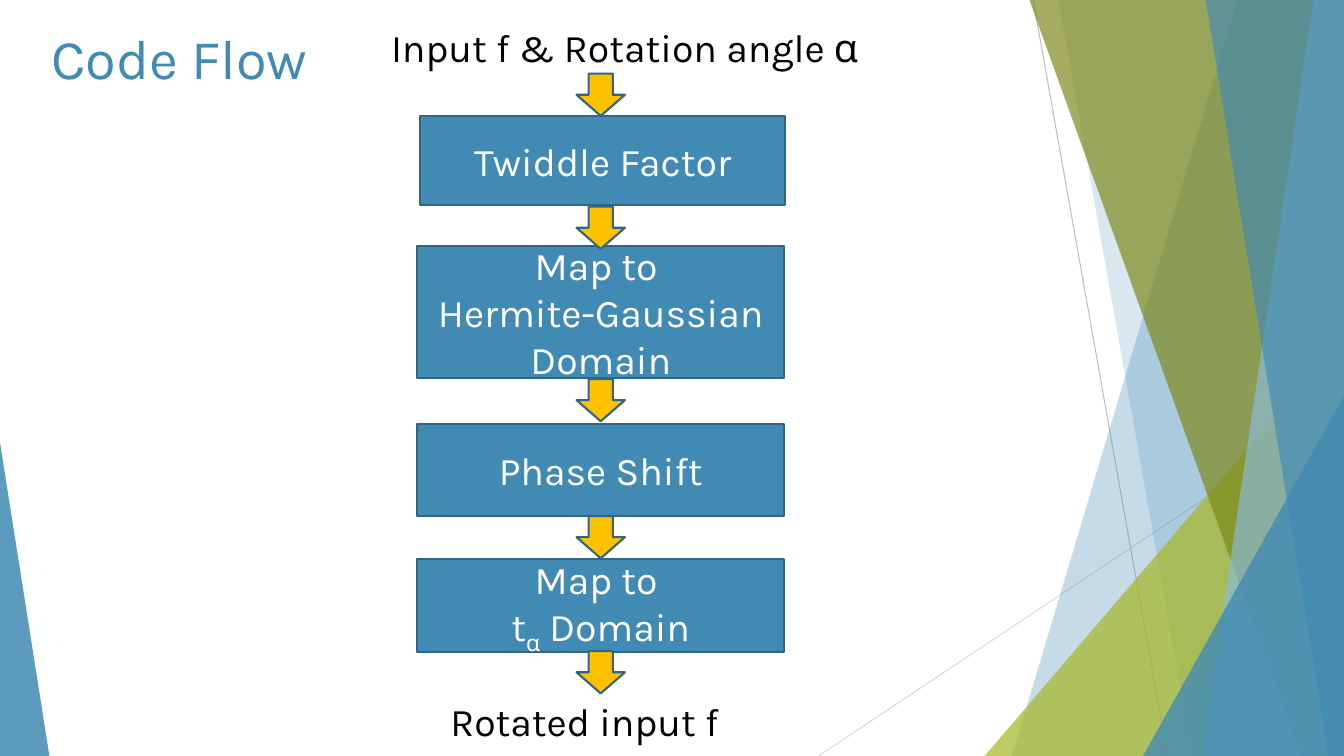
"""Build the Code Flow slide: a vertical flowchart over a faceted backdrop."""
from dataclasses import dataclass
from typing import Any, NamedTuple

from lxml import etree
from pptx import Presentation
from pptx import util as u
from pptx.dml import color as c
from pptx.enum import shapes, text
from pptx.oxml import ns


@dataclass(frozen=True)
class Theme:
    blue: str = "418AB3"
    pale_blue: str = "8ABAD4"
    dark_blue: str = "306684"
    green: str = "A6B727"
    olive: str = "7D891D"
    amber: str = "FFC000"
    white: str = "FFFFFF"
    black: str = "000000"
    light_gray: str = "D9D9D9"
    gray: str = "BFBFBF"
    font: str = "Karla"
    title_size: float = 40
    body_size: float = 28
    outline: float = 1.5
    hairline: float = 0.75


class Ray(NamedTuple):
    x1: float
    y1: float
    x2: float
    y2: float
    color: str


class Band(NamedTuple):
    top_x: float
    bottom_x: float
    color: str
    opacity: int


class Wedge(NamedTuple):
    left: float
    top: float
    width: float
    peak: float
    color: str
    opacity: int


class Step(NamedTuple):
    left: float
    top: float
    width: float
    height: float
    lines: tuple[tuple[str, ...], ...]


class Caption(NamedTuple):
    left: float
    top: float
    width: float
    height: float
    words: str
    size: float
    color: str
    fit: Any


THEME = Theme()
WIDTH, HEIGHT, BLEED = 960, 540, 0.7
SUBSCRIPT = "α"

RAYS = (
    Ray(738, 0, 834, HEIGHT, THEME.gray),
    Ray(WIDTH, 290, 584.6, HEIGHT, THEME.light_gray),
)
FACETS = (
    Band(884.2, 722.9, THEME.blue, 30),
    Band(756, 851.8, THEME.blue, 20),
    Wedge(703.4, 239.8, 256.6, 1, THEME.green, 72),
    Band(735.1, 929.5, THEME.olive, 70),
    Band(938.2, 858.2, THEME.pale_blue, 70),
    Band(861.1, 949, THEME.blue, 65),
    Wedge(816.5, 283, 143.5, 1, THEME.blue, 80),
    Wedge(0, 316.1, 35.3, 0, THEME.blue, 85),
)
STEPS = (
    Step(300.2, 82.8, 260.6, 63.4, (("Twiddle Factor",),)),
    Step(298.1, 175.7, 262.1, 94.3, (("Map to ",), ("Hermite-Gaussian Domain",))),
    Step(298.1, 303.1, 262.1, 65.5, (("Phase Shift",),)),
    Step(298.1, 399.6, 262.1, 66.2, (("Map to ",), ("t", SUBSCRIPT, " Domain"))),
)
ARROW_LEFT, ARROW_WIDTH, ARROW_HEIGHT = 411.8, 34.6, 30.2
ARROW_TOPS = (52.6, 147.6, 270.7, 368.6, 465.1)
CAPTIONS = (
    Caption(29.5, 13, 230.4, 103.7, "Code Flow", THEME.title_size, THEME.blue,
            text.MSO_AUTO_SIZE.NONE),
    Caption(272.2, 13, 390.2, 41, "Input f & Rotation angle α", THEME.body_size,
            THEME.black, text.MSO_AUTO_SIZE.SHAPE_TO_FIT_TEXT),
    Caption(314.6, 494.6, 273.6, 41, "Rotated input f", THEME.body_size,
            THEME.black, text.MSO_AUTO_SIZE.SHAPE_TO_FIT_TEXT),
)


def rgb(value: str) -> c.RGBColor:
    """Turn a hex string into a colour."""
    return c.RGBColor.from_string(value)


def apply(target: Any, formats: dict[str, Any]) -> None:
    """Set each format value on the target."""
    for name, value in formats.items():
        setattr(target, name, value)


def points(*lengths: float) -> list[u.Length]:
    """Convert lengths to points."""
    return [u.Pt(length) for length in lengths]


def paint(shape: Any, color: str) -> None:
    """Fill a shape and remove its shadow."""
    shape.shadow.inherit = False
    shape.fill.solid()
    shape.fill.fore_color.rgb = rgb(color)


def outline(shape: Any, color: str, width: float) -> None:
    """Give a shape or connector a solid line."""
    shape.line.color.rgb = rgb(color)
    shape.line.width = u.Pt(width)


def write(paragraph: Any, words: str, size: float, color: str) -> Any:
    """Add a styled run to a paragraph."""
    run = paragraph.add_run()
    run.text = words
    apply(run.font, {"name": THEME.font, "size": u.Pt(size)})
    run.font.color.rgb = rgb(color)
    return run


def draw_ray(slide: Any, ray: Ray) -> None:
    """Draw a hairline across the backdrop."""
    line = slide.shapes.add_connector(shapes.MSO_CONNECTOR.STRAIGHT, *points(*ray[:4]))
    outline(line, ray.color, THEME.hairline)
    etree.SubElement(line.element.spPr, ns.qn("a:effectLst"))


def draw_facet(slide: Any, facet: Band | Wedge) -> None:
    """Draw a translucent backdrop facet."""
    if isinstance(facet, Band):
        builder = slide.shapes.build_freeform(*points(facet.top_x, -BLEED))
        corners = ((WIDTH, -BLEED), (WIDTH, HEIGHT), (facet.bottom_x, HEIGHT))
        builder.add_line_segments([points(*corner) for corner in corners], close=True)
        shape = builder.convert_to_shape()
    else:
        shape = slide.shapes.add_shape(
            shapes.MSO_SHAPE.ISOSCELES_TRIANGLE,
            *points(facet.left, facet.top, facet.width, HEIGHT - facet.top))
        shape.adjustments[0] = facet.peak
    paint(shape, facet.color)
    shape.line.fill.background()
    tint = shape.element.spPr.find(f".//{ns.qn('a:srgbClr')}")
    etree.SubElement(tint, ns.qn("a:alpha"), val=str(facet.opacity * 1000))


def draw_step(slide: Any, step: Step) -> None:
    """Draw one labelled box of the flow."""
    box = slide.shapes.add_shape(shapes.MSO_SHAPE.RECTANGLE, *points(*step[:4]))
    paint(box, THEME.blue)
    outline(box, THEME.dark_blue, THEME.outline)
    frame = box.text_frame
    apply(frame, {"word_wrap": True, "vertical_anchor": text.MSO_ANCHOR.MIDDLE})
    for index, line in enumerate(step.lines):
        paragraph = frame.add_paragraph() if index else frame.paragraphs[0]
        paragraph.alignment = text.PP_ALIGN.CENTER
        for words in line:
            run = write(paragraph, words, THEME.body_size, THEME.white)
            if words == SUBSCRIPT:
                run._r.get_or_add_rPr().set("baseline", "-25000")


def draw_arrow(slide: Any, top: float) -> None:
    """Draw a block arrow leading to the next step."""
    arrow = slide.shapes.add_shape(
        shapes.MSO_SHAPE.DOWN_ARROW, *points(ARROW_LEFT, top, ARROW_WIDTH, ARROW_HEIGHT))
    paint(arrow, THEME.amber)
    outline(arrow, THEME.dark_blue, THEME.outline)


def draw_caption(slide: Any, caption: Caption) -> None:
    """Draw a line of free text."""
    frame = slide.shapes.add_textbox(*points(*caption[:4])).text_frame
    apply(frame, {"word_wrap": True, "auto_size": caption.fit})
    write(frame.paragraphs[0], caption.words, caption.size, caption.color)


def main() -> None:
    """Assemble and save the slide."""
    deck = Presentation()
    apply(deck, {"slide_width": u.Pt(WIDTH), "slide_height": u.Pt(HEIGHT)})
    slide = deck.slides.add_slide(deck.slide_layouts[6])
    for draw, items in ((draw_ray, RAYS), (draw_facet, FACETS), (draw_step, STEPS),
                        (draw_arrow, ARROW_TOPS), (draw_caption, CAPTIONS)):
        for item in items:
            draw(slide, item)
    deck.save("out.pptx")


if __name__ == "__main__":
    main()
